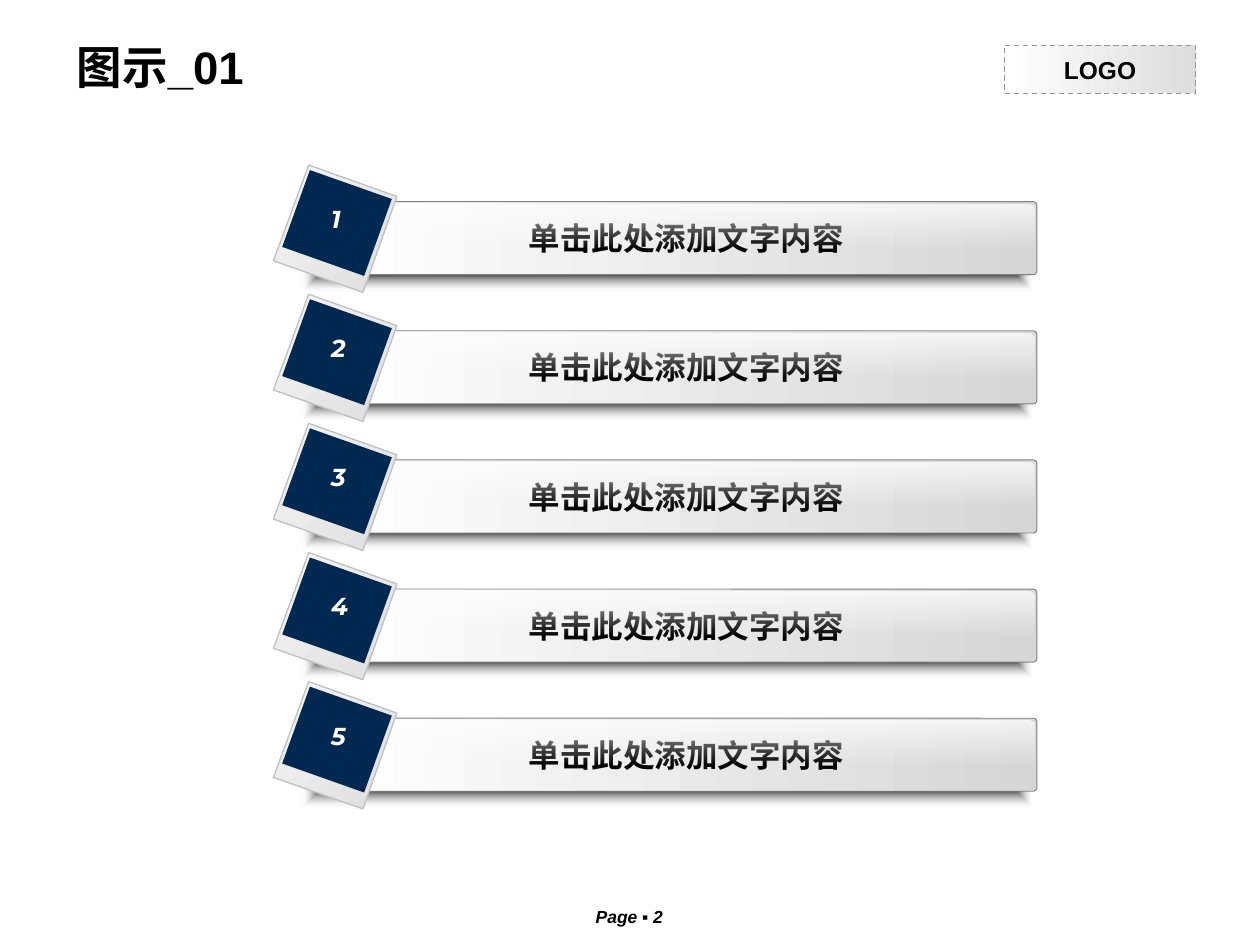
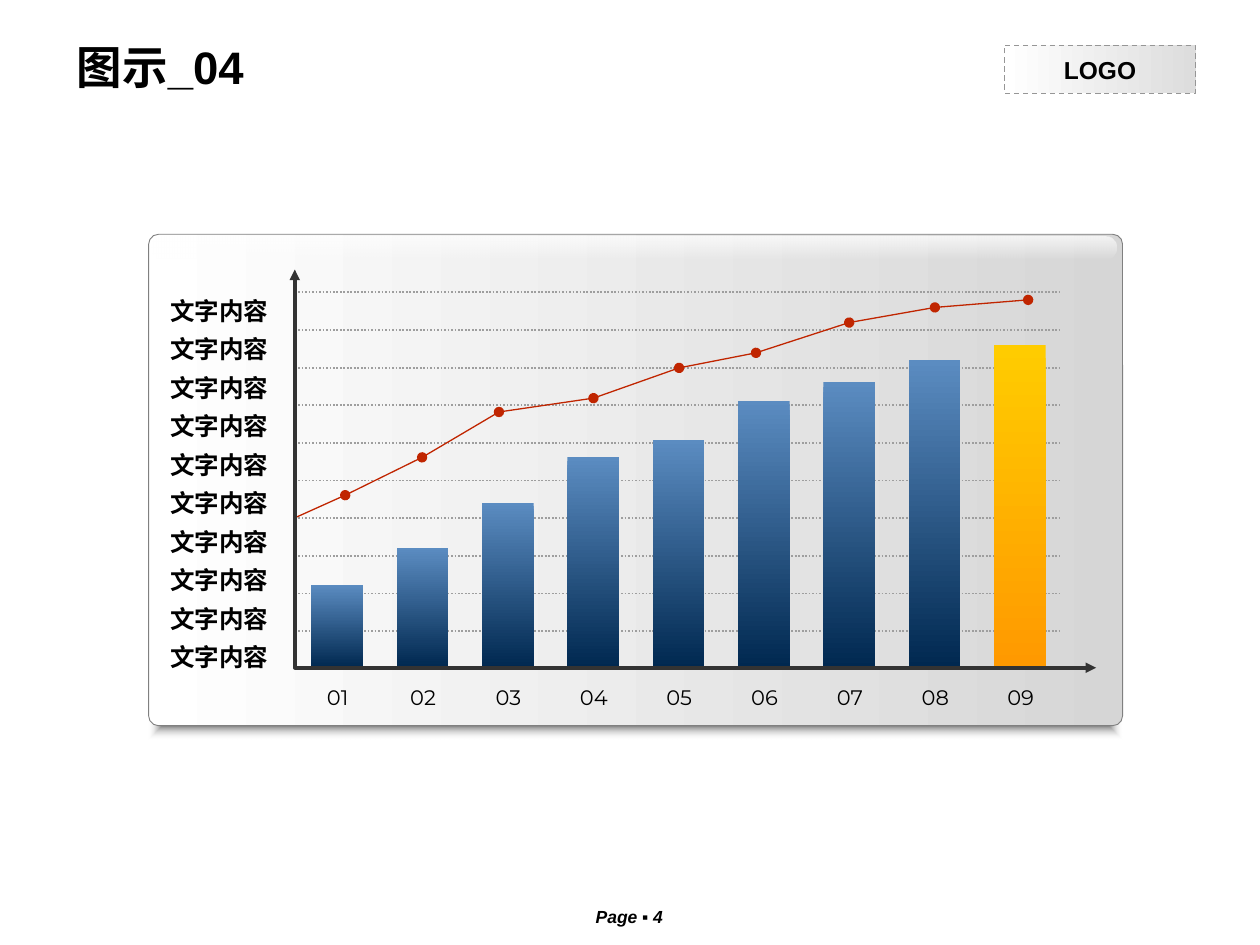
from itertools import pairwise

from lxml import etree
from pptx import Presentation
from pptx.dml.color import RGBColor
from pptx.enum.dml import MSO_LINE
from pptx.enum.shapes import MSO_CONNECTOR, MSO_SHAPE
from pptx.enum.text import MSO_ANCHOR, PP_ALIGN
from pptx.oxml.ns import qn
from pptx.util import Inches, Pt

COLORS = {
    "black": "000000", "white": "FFFFFF", "shadow": "080808",
    "panel_end": "D6D6D6", "panel_edge": "808080",
    "logo_end": "DDDDDD", "logo_edge": "969696",
    "card": "F8F8F8", "card_edge": "C0C0C0",
    "navy": "002850", "blue": "5B8CC1",
    "orange": "FF9900", "yellow": "FFCC00",
    "trend": "C02500", "grid": "9E9E9E", "axis": "333333",
}
LATIN, CJK, NUMERAL = "Arial", "Noto Sans CJK SC", "Montserrat"


def spread(first, last, count):
    """Return count evenly spaced values from first to last."""
    return [first + (last - first) * i / (count - 1) for i in range(count)]


class Deck:
    def __init__(self):
        self.prs = Presentation()
        self.prs.slide_width, self.prs.slide_height = Inches(10), Inches(7.5)
        self.s = None

    def new_slide(self, title, page):
        self.s = self.prs.slides.add_slide(self.prs.slide_layouts[6])
        self.text((4.21, 7.14, 1.57, 0.22), f"Page ▪ {page}", 10,
                  bold=True, italic=True)
        logo = self.shape((7.97, 0.36, 1.52, 0.38),
                          [("white", 100), ("logo_end", 100)],
                          edge=("logo_edge", 0.75))
        logo.line.dash_style = MSO_LINE.DASH
        self.label(logo, "LOGO", 14, bold=True, anchor=MSO_ANCHOR.MIDDLE)
        self.text((0.51, 0.21, 8.98, 0.63), title, 26, bold=True, wrap=True,
                  align=PP_ALIGN.LEFT, anchor=MSO_ANCHOR.MIDDLE)

    def label(self, box, text, size, font=LATIN, color="black", bold=False,
              italic=False, align=PP_ALIGN.CENTER, anchor=MSO_ANCHOR.TOP,
              wrap=False, spacing=0, indent=0):
        tf = box.text_frame
        tf.word_wrap, tf.vertical_anchor = wrap, anchor
        p = tf.paragraphs[0]
        p.text, p.alignment = text, align
        p.font.name, p.font.size = font, Pt(size)
        p.font.bold, p.font.italic = bold, italic
        p.font.color.rgb = RGBColor.from_string(COLORS[color])
        pPr = p._p.get_or_add_pPr()
        if indent:
            pPr.set("marL", str(Inches(indent)))
        props = pPr.find(qn("a:defRPr"))
        if spacing:
            props.set("spc", str(spacing))
        etree.SubElement(props, qn("a:ea"), typeface=CJK)

    def text(self, at, text, size, **style):
        self.label(self.s.shapes.add_textbox(*map(Inches, at)), text, size, **style)

    def gradient(self, shape, stops, angle):
        """Fill with (colour, opacity) stops; angle None radiates from the centre."""
        shape.fill.solid()
        solid = shape._element.spPr.find(qn("a:solidFill"))
        grad = etree.Element(qn("a:gradFill"), rotWithShape="1")
        stop_list = etree.SubElement(grad, qn("a:gsLst"))
        for pos, (color, opacity) in zip((0, 100), stops):
            gs = etree.SubElement(stop_list, qn("a:gs"), pos=str(pos * 1000))
            rgb = etree.SubElement(gs, qn("a:srgbClr"), val=COLORS[color])
            if opacity < 100:
                etree.SubElement(rgb, qn("a:alpha"), val=str(opacity * 1000))
        if angle is None:
            radial = etree.SubElement(grad, qn("a:path"))
            radial.set("path", "shape")
            etree.SubElement(radial, qn("a:fillToRect"),
                             {side: "50000" for side in "ltrb"})
        else:
            etree.SubElement(grad, qn("a:lin"), ang=str(angle * 60000), scaled="0")
        solid.getparent().replace(solid, grad)

    def paint(self, shape, fill, angle=0, edge=None):
        """Fill is a colour name, a list of gradient stops, or None."""
        shape.shadow.inherit = False
        if fill is None:
            shape.fill.background()
        elif isinstance(fill, str):
            shape.fill.solid()
            shape.fill.fore_color.rgb = RGBColor.from_string(COLORS[fill])
        else:
            self.gradient(shape, fill, angle)
        if edge:
            self.stroke(shape, *edge)
        else:
            shape.line.fill.background()

    def stroke(self, shape, color, width):
        shape.line.color.rgb = RGBColor.from_string(COLORS[color])
        shape.line.width = Pt(width)

    def shape(self, at, fill, angle=0, edge=None, corner=None):
        kind = MSO_SHAPE.RECTANGLE if corner is None else MSO_SHAPE.ROUNDED_RECTANGLE
        shape = self.s.shapes.add_shape(kind, *map(Inches, at))
        if corner is not None:
            shape.adjustments[0] = corner
        self.paint(shape, fill, angle, edge)
        return shape

    def outline(self, points, fill=None, angle=0, edge=None, close=True):
        corners = [(Inches(x), Inches(y)) for x, y in points]
        builder = self.s.shapes.build_freeform(*corners[0])
        builder.add_line_segments(corners[1:], close=close)
        shape = builder.convert_to_shape()
        self.paint(shape, fill, angle, edge)
        return shape

    def line(self, start, end, color, width):
        line = self.s.shapes.add_connector(
            MSO_CONNECTOR.STRAIGHT, *map(Inches, (*start, *end)))
        self.stroke(line, color, width)
        etree.SubElement(line._element.spPr, qn("a:effectLst"))
        return line

    def line_end(self, shape, end, kind):
        etree.SubElement(shape.line._get_or_add_ln(), qn(f"a:{end}End"), type=kind)

    def shadow(self, at):
        self.shape(at, [("shadow", 80), ("white", 0)], angle=None)

    def panel(self, at, corner):
        return self.shape(at, [("white", 100), ("panel_end", 100)],
                          edge=("panel_edge", 0.5), corner=corner)

    def gloss(self, at, corner):
        self.shape(at, [("white", 75), ("white", 0)], angle=90, corner=corner)


def numbered_list(deck):
    deck.new_slide("图示_01", 2)
    frame = [(2.88, 0.72), (2.17, 0.47), (2.45, -0.29), (3.15, -0.04)]
    photo = [(2.89, 0.59), (2.24, 0.36), (2.46, -0.25), (3.11, -0.02)]
    for number, top in enumerate(spread(1.6, 5.7, 5), 1):
        deck.shadow((2.39, top + 0.42, 5.81, 0.3))
        bar = deck.panel((2.56, top, 5.67, 0.58), 0.05)
        deck.label(bar, "单击此处添加文字内容", 18, font=CJK, bold=True,
                   anchor=MSO_ANCHOR.MIDDLE, indent=0.1)
        deck.gloss((2.86, top + 0.02, 5.35, 0.35), 0.11)
        deck.outline([(x, top + y) for x, y in frame],
                     [("card", 100), ("logo_end", 100)], angle=45,
                     edge=("card_edge", 0.75))
        deck.outline([(x, top + y) for x, y in photo], "navy")
        width = 0.23 if number == 1 else 0.31
        deck.text((2.53, top - 0.03, width, 0.4), str(number), 14, font=NUMERAL,
                  color="white", bold=True, italic=True, spacing=-70)


def bars_and_trend(deck):
    deck.new_slide("图示_04", 4)
    axis_x, base = 2.34, 5.3
    deck.shadow((1.18, 5.59, 7.73, 0.28))
    deck.panel((1.18, 1.86, 7.73, 3.9), 0.02)

    for y in spread(2.32, 5.01, 10):
        grid = deck.line((axis_x, y), (8.43, y), "grid", 1)
        grid.line.dash_style = MSO_LINE.ROUND_DOT
    for y in spread(2.3, 5.05, 10):
        deck.text((1.25, y, 0.98, 0.33), "文字内容", 14, bold=True,
                  align=PP_ALIGN.RIGHT)

    trend = [(axis_x, 4.11), (2.74, 3.93), (3.35, 3.63), (3.96, 3.27), (4.71, 3.16),
             (5.39, 2.92), (6, 2.8), (6.74, 2.56), (7.42, 2.44), (8.16, 2.38)]
    for start, end in pairwise(trend):
        deck.line_end(deck.line(start, end, "trend", 0.75), "tail", "oval")

    heights = [0.66, 0.95, 1.31, 1.67, 1.81, 2.12, 2.27, 2.44, 2.56]
    lefts = spread(2.47, 7.89, len(heights))
    for number, (left, height) in enumerate(zip(lefts, heights), 1):
        last = number == len(heights)
        top_color, foot_color = ("yellow", "orange") if last else ("blue", "navy")
        deck.shape((left, base - height, 0.41, height),
                   [(top_color, 100), (foot_color, 100)], angle=90)
        deck.text((left, 5.38, 0.42, 0.3), f"{number:02}", 12, font=NUMERAL)

    axes = deck.outline([(axis_x, 2.14), (axis_x, base), (8.7, base)],
                        edge=("axis", 2), close=False)
    for end in ("head", "tail"):
        deck.line_end(axes, end, "triangle")
    deck.gloss((1.2, 1.88, 7.66, 0.17), 0.5)


def main():
    deck = Deck()
    numbered_list(deck)
    bars_and_trend(deck)
    deck.prs.save("out.pptx")


if __name__ == "__main__":
    main()
